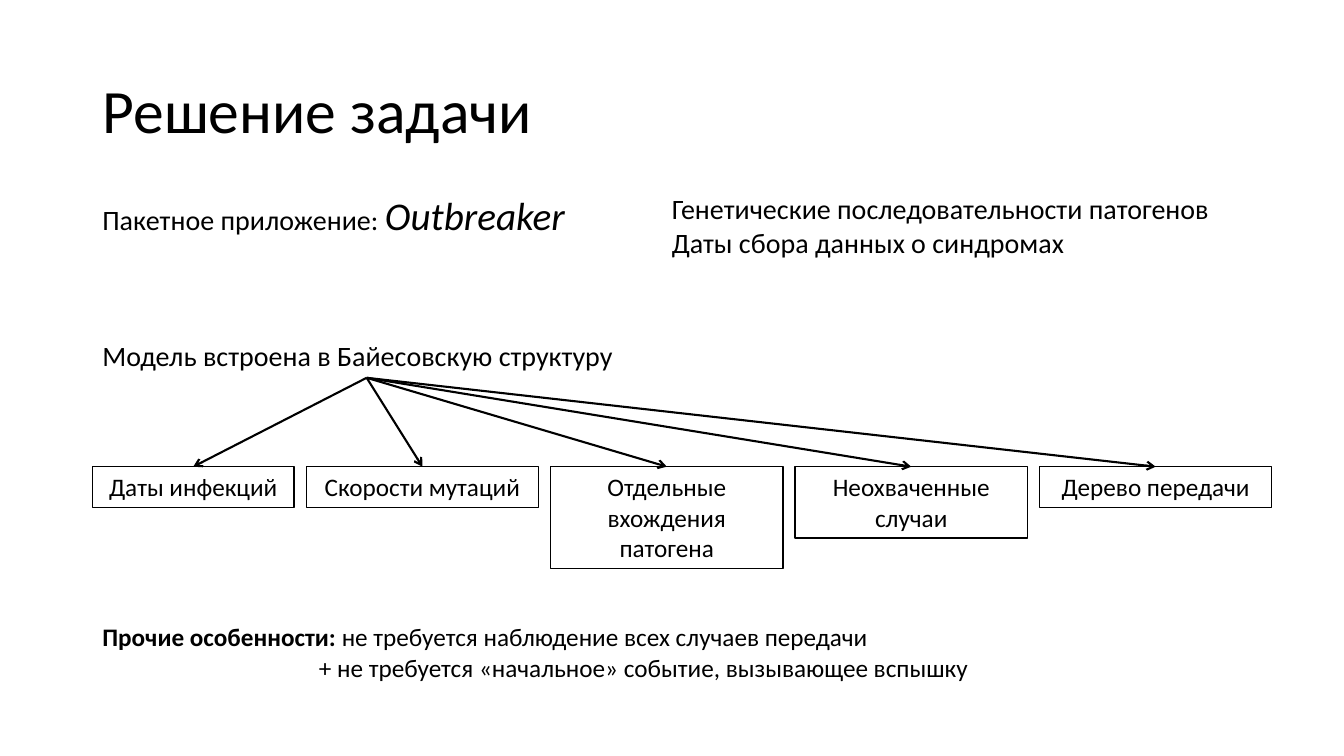
from lxml import etree
from pptx import Presentation
from pptx.dml.color import RGBColor
from pptx.enum.shapes import MSO_CONNECTOR as Link, MSO_SHAPE as Shape
from pptx.enum.text import MSO_ANCHOR as Anchor, PP_ALIGN as Align
from pptx.oxml.ns import qn
from pptx.util import Cm, Pt

BLACK = RGBColor(0, 0, 0)
WHITE = RGBColor(255, 255, 255)
LEFT = 2.33


def style(par, size, indent=0):
    par.font.name = "Calibri"
    par.font.size = Pt(size)
    par.font.color.rgb = BLACK
    if indent:
        props = par._p.get_or_add_pPr()
        props.set("marL", str(Cm(indent)))
        props.set("indent", "0")


def add_text(left, top, width, height, lines):
    box = slide.shapes.add_textbox(Cm(left), Cm(top), Cm(width), Cm(height))
    frame = box.text_frame
    frame.word_wrap = True
    for i, (text, size, indent) in enumerate(lines):
        par = frame.add_paragraph() if i else frame.paragraphs[0]
        par.add_run().text = text
        style(par, size, indent)
    return box


deck = Presentation()
deck.slide_width = Cm(33.87)
deck.slide_height = Cm(19.05)
slide = deck.slides.add_slide(deck.slide_layouts[5])

title = slide.shapes.title
title.left, title.top = Cm(LEFT), Cm(1.01)
title.width, title.height = Cm(29.21), Cm(3.68)
title.text_frame.text = "Решение задачи"
title.text_frame.vertical_anchor = Anchor.MIDDLE
head = title.text_frame.paragraphs[0]
head.alignment = Align.LEFT
head.line_spacing = 0.9
style(head, 44)

app = add_text(LEFT, 4.7, 12.37, 1.45, [("Пакетное приложение: ", 20, 0)])
name = app.text_frame.paragraphs[0].add_run()
name.text = "Outbreaker"
name.font.size = Pt(28)
name.font.italic = True

add_text(14.7, 4.7, 16.84, 1.96, [
    ("Генетические последовательности патогенов", 20, 1.98),
    ("Даты сбора данных о синдромах", 20, 1.98),
])
model = add_text(LEFT, 8.41, 13.82, 1.11, [
    ("Модель встроена в Байесовскую структуру", 20, 0),
])

parts = [
    ("Даты инфекций", 5.08, 1),
    ("Скорости мутаций", 5.85, 1),
    ("Отдельные вхождения патогена", 5.85, 3),
    ("Неохваченные случаи", 5.85, 2),
    ("Дерево передачи", 5.85, 1),
]
boxes = []
left = LEFT
for text, width, rows in parts:
    box = slide.shapes.add_shape(
        Shape.RECTANGLE, Cm(left), Cm(11.76), Cm(width), Cm(0.26 + 0.77 * rows))
    box.shadow.inherit = False
    box.fill.solid()
    box.fill.fore_color.rgb = WHITE
    box.line.color.rgb = BLACK
    box.line.width = Pt(1)
    frame = box.text_frame
    frame.word_wrap = True
    frame.vertical_anchor = Anchor.TOP
    frame.text = text
    par = frame.paragraphs[0]
    par.alignment = Align.CENTER
    style(par, 18)
    boxes.append(box)
    left += width + 0.31

for box in boxes:
    arrow = slide.shapes.add_connector(Link.STRAIGHT, 0, 0, 0, 0)
    arrow.begin_connect(model, 2)
    arrow.end_connect(box, 0)
    arrow.line.color.rgb = BLACK
    arrow.line.width = Pt(1.5)
    etree.SubElement(arrow.line._get_or_add_ln(), qn("a:tailEnd"), type="arrow")
    etree.SubElement(arrow._element.spPr, qn("a:effectLst"))

notes = add_text(LEFT, 15.54, 29.21, 1.8, [
    ("Прочие особенности: ", 18, 0),
    ("+ не требуется «начальное» событие, вызывающее вспышку", 18, 5.46),
])
first = notes.text_frame.paragraphs[0]
first.runs[0].font.bold = True
first.add_run().text = "не требуется наблюдение всех случаев передачи"

deck.save("out.pptx")
